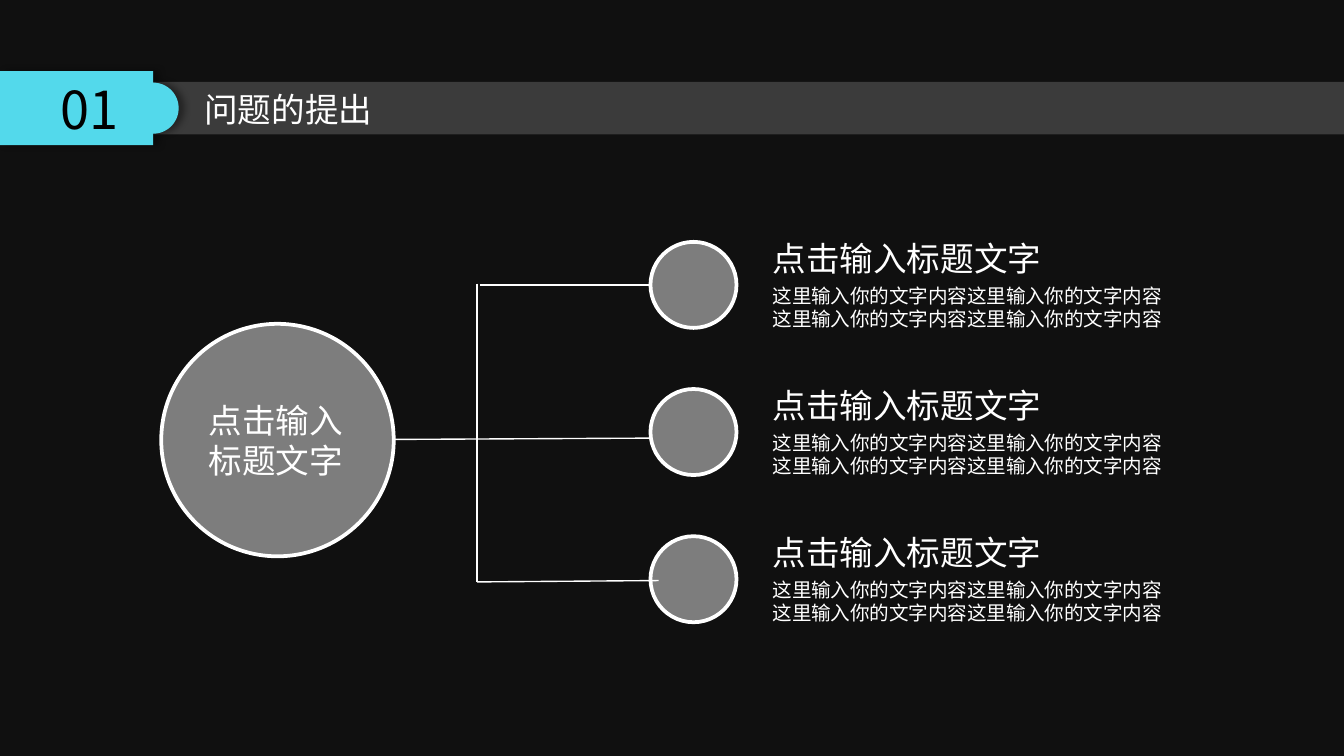
import math

from lxml import etree
from pptx import Presentation
from pptx.dml.color import RGBColor
from pptx.enum import shapes, text
from pptx.oxml.ns import qn
from pptx.util import Inches, Pt

WHITE = RGBColor(0xFF, 0xFF, 0xFF)
BLACK = RGBColor(0x00, 0x00, 0x00)
CYAN = RGBColor(0x53, 0xD9, 0xEB)
NIGHT = RGBColor(0x10, 0x10, 0x10)
FONT = "Noto Sans CJK SC"
NUMBER_FONT = "Noto Sans CJK JP"
HEADING = "点击输入标题文字"
DETAIL = "这里输入你的文字内容这里输入你的文字内容"


def write(sp, lines, size, color=WHITE, font=FONT, align=text.PP_ALIGN.LEFT,
          anchor=text.MSO_ANCHOR.TOP):
    """Fill a shape with one paragraph per line in a single style."""
    tf = sp.text_frame
    tf.text = "\n".join(lines)
    tf.vertical_anchor = anchor
    for p in tf.paragraphs:
        p.alignment = align
        p.font.size = Pt(size)
        p.font.color.rgb = color
        p.font.name = font
    for props in sp.element.iter(qn("a:defRPr")):
        etree.SubElement(props, qn("a:ea"), typeface=font)


def fit_to_text(sp):
    """Let a text shape grow around unwrapped text."""
    sp.text_frame.word_wrap = False
    sp.text_frame.auto_size = text.MSO_AUTO_SIZE.SHAPE_TO_FIT_TEXT


def add_label(s, x, y, w, h, lines, size):
    """Add an unwrapped text box."""
    sp = s.shapes.add_textbox(Inches(x), Inches(y), Inches(w), Inches(h))
    write(sp, lines, size)
    fit_to_text(sp)


def add_veil(s, kind, x, y, w, h, opacity):
    """Add a translucent white shape without outline."""
    sp = s.shapes.add_shape(kind, Inches(x), Inches(y), Inches(w), Inches(h))
    sp.shadow.inherit = False
    sp.fill.solid()
    sp.fill.fore_color.rgb = WHITE
    color = sp.element.spPr.find(qn("a:solidFill"))[0]
    etree.SubElement(color, qn("a:alpha"), val=str(opacity * 1000))
    sp.line.fill.background()
    return sp


def add_circle(s, x, y, d):
    """Add a translucent circle with a white rim."""
    sp = add_veil(s, shapes.MSO_SHAPE.OVAL, x, y, d, d, 46)
    sp.line.color.rgb = WHITE
    sp.line.width = Pt(2)
    return sp


def add_line(s, x1, y1, x2, y2):
    """Add a thin white line."""
    cx = s.shapes.add_connector(shapes.MSO_CONNECTOR.STRAIGHT, Inches(x1),
                                Inches(y1), Inches(x2), Inches(y2))
    cx.line.color.rgb = WHITE
    cx.line.width = Pt(0.75)
    etree.SubElement(cx.element.spPr, qn("a:effectLst"))


def add_shadow(sp):
    """Cast a soft shadow to the right."""
    sp.shadow.inherit = False
    effects = sp.element.spPr.find(qn("a:effectLst"))
    shadow = etree.SubElement(effects, qn("a:outerShdw"), blurRad=str(Pt(4)),
                              dist=str(Pt(3)), dir="0", algn="l", rotWithShape="0")
    color = etree.SubElement(shadow, qn("a:srgbClr"), val=str(BLACK))
    etree.SubElement(color, qn("a:alpha"), val="40000")


def add_number_tab(s, x, y, w, h, number):
    """Add the section number on a tab with a rounded nose."""
    edge, rx, ry, steps = x + 1.14, w - 1.14, 0.19, 48
    angles = [math.pi * (i / steps - 0.5) for i in range(steps + 1)]
    nose = [(edge + rx * math.cos(a), y + h / 2 + ry * math.sin(a)) for a in angles]
    outline = [(edge, y), *nose, (edge, y + h), (x, y + h)]
    fb = s.shapes.build_freeform(Inches(x), Inches(y))
    fb.add_line_segments([(Inches(px), Inches(py)) for px, py in outline], close=True)
    sp = fb.convert_to_shape()
    sp.fill.solid()
    sp.fill.fore_color.rgb = CYAN
    sp.line.fill.background()
    add_shadow(sp)
    write(sp, [number], 28, BLACK, NUMBER_FONT, text.PP_ALIGN.CENTER,
          text.MSO_ANCHOR.MIDDLE)
    return sp


def add_header(s, x, y, w, number, title):
    """Add the header band with its number tab and slide title."""
    add_veil(s, shapes.MSO_SHAPE.RECTANGLE, x, y + 0.08, w, 0.39, 18)
    tab = add_number_tab(s, x, y, 1.33, 0.55, number)
    sp = s.shapes.title
    sp.left, sp.top = Inches(x + 1.42), Inches(y + 0.08)
    sp.width, sp.height = Inches(1.46), Inches(0.4)
    write(sp, [title], 18)
    fit_to_text(sp)
    tab.element.addnext(sp.element)


def add_tree(s, x, y):
    """Add the hub, its branches and the three captioned nodes."""
    hub = add_circle(s, x, y + 0.69, 1.73)
    write(hub, ["点击输入", "标题文字"], 18, anchor=text.MSO_ANCHOR.MIDDLE)
    trunk, node = x + 2.35, x + 3.64
    add_line(s, trunk + 0.02, y + 0.4, node, y + 0.4)
    add_line(s, x + 1.73, y + 1.55, node, y + 1.54)
    add_line(s, trunk, y + 2.61, node + 0.06, y + 2.6)
    add_line(s, trunk, y + 0.39, trunk, y + 2.61)
    rows = [y + 2.19 * i / 2 for i in range(3)]
    for row in rows:
        add_circle(s, node, row + 0.08, 0.64)
    for row in rows:
        add_label(s, x + 4.45, row, 2.22, 0.4, [HEADING], 18)
        add_label(s, x + 4.45, row + 0.34, 3.15, 0.45, [DETAIL] * 2, 10.5)


def main():
    """Build and save the slide."""
    prs = Presentation()
    prs.slide_width = Inches(10)
    prs.slide_height = prs.slide_width * 9 // 16
    s = prs.slides.add_slide(prs.slide_layouts[5])
    s.background.fill.solid()
    s.background.fill.fore_color.rgb = NIGHT
    add_header(s, 0, 0.53, 10, "01", "问题的提出")
    add_tree(s, 1.2, 1.72)
    prs.save("out.pptx")


if __name__ == "__main__":
    main()
